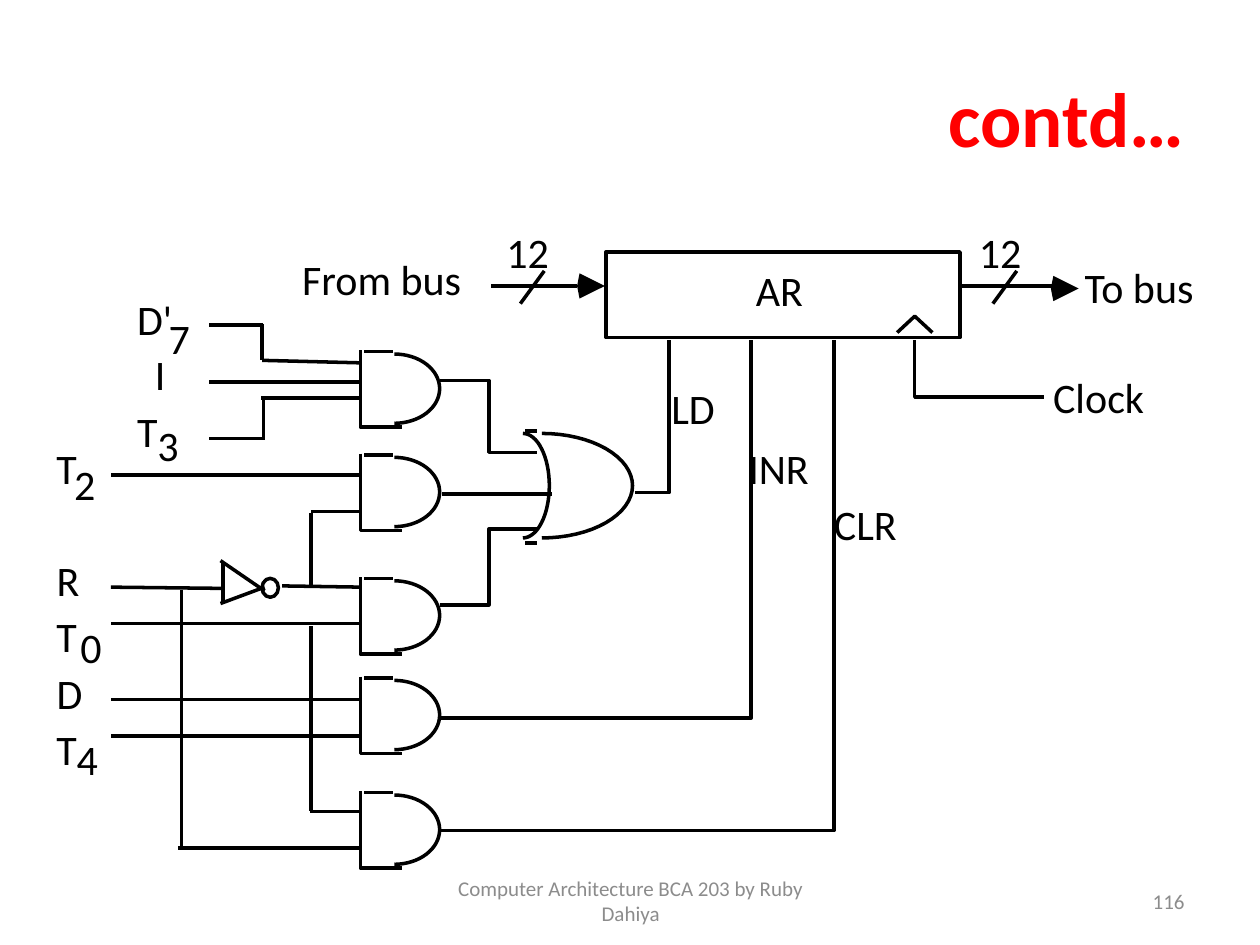
from math import cos, pi, sin

from lxml.etree import SubElement
from pptx import Presentation
from pptx.dml.color import RGBColor
from pptx.enum.shapes import MSO_CONNECTOR, MSO_SHAPE
from pptx.enum.text import MSO_ANCHOR, PP_ALIGN
from pptx.oxml.ns import qn
from pptx.util import Inches, Pt

BLACK = RGBColor(0, 0, 0)
RED = RGBColor(255, 0, 0)
GRAY = RGBColor(0x8C, 0x8C, 0x8C)
LINE_WIDTH = Pt(2)


def add_text(slide, text, left, top, width, height=0.5, size=24, color=BLACK,
             bold=False, align=PP_ALIGN.LEFT, anchor=MSO_ANCHOR.TOP, wrap=False):
    box = slide.shapes.add_textbox(Inches(left), Inches(top), Inches(width), Inches(height))
    frame = box.text_frame
    frame.word_wrap = wrap
    frame.vertical_anchor = anchor
    paragraph = frame.paragraphs[0]
    paragraph.text = text
    paragraph.alignment = align
    font = paragraph.font
    font.name, font.size, font.bold = "Calibri", Pt(size), bold
    font.color.rgb = color


def add_line(slide, x1, y1, x2, y2):
    line = slide.shapes.add_connector(
        MSO_CONNECTOR.STRAIGHT, Inches(x1), Inches(y1), Inches(x2), Inches(y2))
    line.line.color.rgb = BLACK
    line.line.width = LINE_WIDTH
    SubElement(line._element.spPr, qn("a:effectLst"))


def outline(shape):
    shape.shadow.inherit = False
    shape.fill.background()
    shape.line.color.rgb = BLACK
    shape.line.width = LINE_WIDTH


def add_path(slide, points, filled=False):
    corners = [(Inches(x), Inches(y)) for x, y in points]
    builder = slide.shapes.build_freeform(*corners[0])
    builder.add_line_segments(corners[1:], close=filled)
    shape = builder.convert_to_shape()
    outline(shape)
    if filled:
        shape.fill.solid()
        shape.fill.fore_color.rgb = BLACK
        shape.line.fill.background()


def add_half_ellipse(slide, center_x, center_y, radius_x, radius_y, steps=32):
    angles = [pi * (step / steps - 0.5) for step in range(steps + 1)]
    add_path(slide, [(center_x + radius_x * cos(angle), center_y + radius_y * sin(angle))
                     for angle in angles])


def add_and_gate(slide, left, top):
    add_half_ellipse(slide, left + 0.27, top + 0.305, 0.36, 0.275)
    add_line(slide, left + 0.03, top + 0.01, left + 0.26, top + 0.01)
    add_path(slide, [(left, top), (left, top + 0.61), (left + 0.33, top + 0.61)])


def add_or_gate(slide, left, top):
    middle = top + 0.435
    add_half_ellipse(slide, left + 0.15, middle, 0.72, 0.415)
    add_half_ellipse(slide, left, middle, 0.21, 0.415)
    for y in (top, top + 0.89):
        add_line(slide, left + 0.02, y, left + 0.11, y)


def add_inverter(slide, left, top):
    tip, middle = left + 0.35, top + 0.22
    add_line(slide, tip, middle + 0.02, left, top)
    add_line(slide, tip, middle - 0.01, left, top + 0.34)
    add_line(slide, left + 0.02, top + 0.02, left + 0.02, top + 0.33)
    bubble = slide.shapes.add_shape(MSO_SHAPE.OVAL, Inches(left + 0.33), Inches(top + 0.14),
                                    Inches(0.13), Inches(0.15))
    outline(bubble)


def add_inputs(slide, left, top):
    # Signal names, with lowered digits in boxes of their own
    for text, x, y, width in (
            ("D'", 0.64, 0, 0.48), ("I", 0.78, 0.44, 0.29), ("T", 0.64, 0.89, 0.37),
            ("T", 0, 1.18, 0.37), ("R", 0, 2.07, 0.38), ("T", 0, 2.52, 0.37),
            ("D", 0, 2.97, 0.41), ("T", 0, 3.41, 0.37),
            ("7", 0.89, 0.15, 0.37), ("3", 0.8, 1, 0.37), ("2", 0.14, 1.31, 0.37),
            ("0", 0.19, 2.6, 0.37), ("4", 0.16, 3.49, 0.37)):
        add_text(slide, text, left + x, top + y, width)
    # Wires that end at the AND gates
    gate_x = 2.52
    for start_x, start_y, end_y in (
            (1.73, 0.58, 0.6), (1.31, 0.75, 0.75), (1.72, 0.88, 0.88), (0.53, 1.49, 1.49),
            (2.12, 1.78, 1.78), (1.89, 2.37, 2.38), (0.53, 2.67, 2.67), (0.53, 3.27, 3.27),
            (0.53, 3.56, 3.56), (2.11, 4.16, 4.16), (1.06, 4.45, 4.45)):
        add_line(slide, left + gate_x, top + end_y, left + start_x, top + start_y)
    # Vertical branches
    for x, y1, y2 in ((1.73, 0.29, 0.58), (1.74, 1.21, 0.89), (2.12, 1.79, 2.37),
                      (2.12, 2.69, 4.16), (1.09, 2.4, 4.45)):
        add_line(slide, left + x, top + y1, left + x, top + y2)
    # Short leads of D'7 and T3, and the lead of R
    for y in (0.3, 1.2):
        add_line(slide, left + 1.74, top + y, left + 1.31, top + y)
    add_line(slide, left + 1.42, top + 2.39, left + 0.53, top + 2.38)
    add_inverter(slide, left + 1.4, top + 2.17)


def add_gates(slide, left, top):
    for offset in (0, 0.82, 1.8, 2.59, 3.5):
        add_and_gate(slide, left, top + offset)
    add_or_gate(slide, left + 1.29, top + 0.64)
    # Wires from the first three AND gates to the OR gate
    add_line(slide, left + 0.65, top + 1.14, left + 1.52, top + 1.14)
    for gate_y, or_y in ((0.24, 0.81), (2.02, 1.42)):
        add_path(slide, [(left + x, top + y) for x, y in (
            (0.63, gate_y), (1.02, gate_y), (1.02, or_y), (1.4, or_y))])


def add_bus(slide, left, top, length, tip, tip_drop, slash):
    """Draw a bus line with its fan-shaped head, slash and bit count."""
    add_line(slide, left, top, left + length, top)
    tip_x, tip_y = left + tip, top + tip_drop
    add_path(slide, [(tip_x, tip_y), (tip_x - 0.2, tip_y + 0.1), (tip_x - 0.21, tip_y + 0.05),
                     (tip_x - 0.22, tip_y), (tip_x - 0.21, tip_y - 0.05),
                     (tip_x - 0.2, tip_y - 0.1)], filled=True)
    add_line(slide, left + slash + 0.19, top - 0.12, left + slash, top + 0.14)
    add_text(slide, "12", left + slash - 0.21, top - 0.52, 0.54)


def add_register(slide, left, top):
    width, height = 2.81, 0.68
    register = slide.shapes.add_shape(MSO_SHAPE.RECTANGLE, Inches(left), Inches(top),
                                      Inches(width), Inches(height))
    outline(register)
    add_text(slide, "AR", left + 1.09, top + 0.05, 0.58)
    # Control wires rise to the lower edge
    edge = top + height + 0.02
    for start_x, start_y, end_x in ((0.23, 1.91, 0.5), (-1.32, 3.7, 1.15), (-1.32, 4.59, 1.81)):
        add_path(slide, [(left + start_x, top + start_y), (left + end_x, top + start_y),
                         (left + end_x, edge)])
    # Clock mark and wire
    add_path(slide, [(left + 2.31, top + 0.64), (left + 2.45, top + 0.51),
                     (left + 2.59, top + 0.64)])
    add_path(slide, [(left + 2.45, edge), (left + 2.45, top + 1.15), (left + 3.48, top + 1.15)])
    # Data buses
    add_bus(slide, left - 0.91, top + 0.27, length=0.68, tip=0.9, tip_drop=0, slash=0.23)
    add_bus(slide, left + width, top + 0.27, length=0.74, tip=0.94, tip_drop=0.02, slash=0.26)
    for text, x, y, label_width in (
            ("LD", 0.42, 0.99, 0.55), ("INR", 1.03, 1.46, 0.68), ("CLR", 1.71, 1.91, 0.7),
            ("Clock", 3.45, 0.9, 0.93), ("To bus", 3.7, 0.03, 1.07),
            ("From bus", -2.51, -0.04, 1.47)):
        add_text(slide, text, left + x, top + y, label_width)


def add_title(slide, left, top, width, height):
    add_text(slide, "contd…", left, top, width, height, size=44, color=RED, bold=True,
             align=PP_ALIGN.RIGHT, anchor=MSO_ANCHOR.MIDDLE, wrap=True)


def add_footer(slide, left, top, width, height):
    for text, x, part_width, align in (
            ("116", width - 2.33, 2.33, PP_ALIGN.RIGHT),
            ("Computer Architecture BCA 203 by Ruby Dahiya", 2.92, 3.17, PP_ALIGN.CENTER)):
        add_text(slide, text, left + x, top, part_width, height, size=12, color=GRAY,
                 align=align, anchor=MSO_ANCHOR.MIDDLE, wrap=True)


def main():
    presentation = Presentation()
    presentation.slide_width, presentation.slide_height = Inches(10), Inches(7.5)
    slide = presentation.slides.add_slide(presentation.slide_layouts[6])
    add_title(slide, 0.5, 0.3, 9, 1.25)
    add_gates(slide, 2.86, 2.78)
    add_register(slide, 4.81, 2)
    add_inputs(slide, 0.35, 2.28)
    add_footer(slide, 0.5, 6.95, 9, 0.4)
    presentation.save("out.pptx")


if __name__ == "__main__":
    main()
